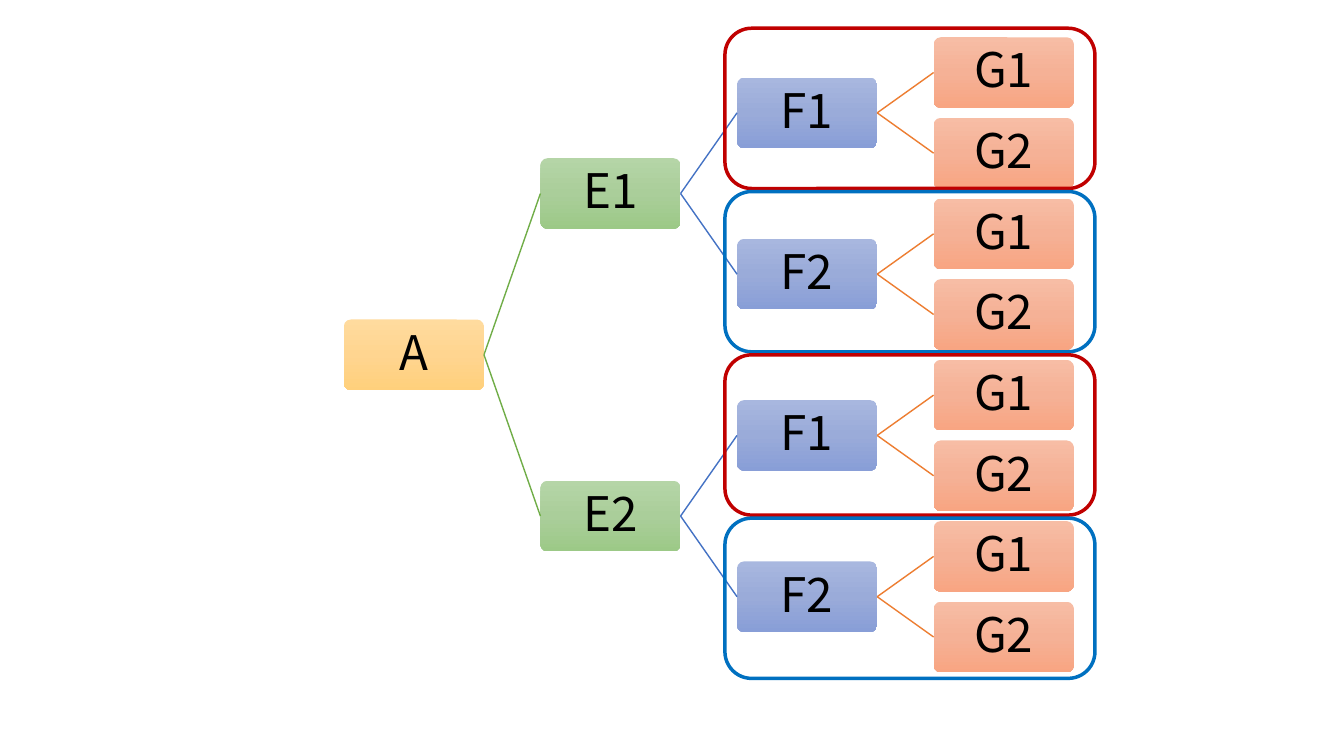
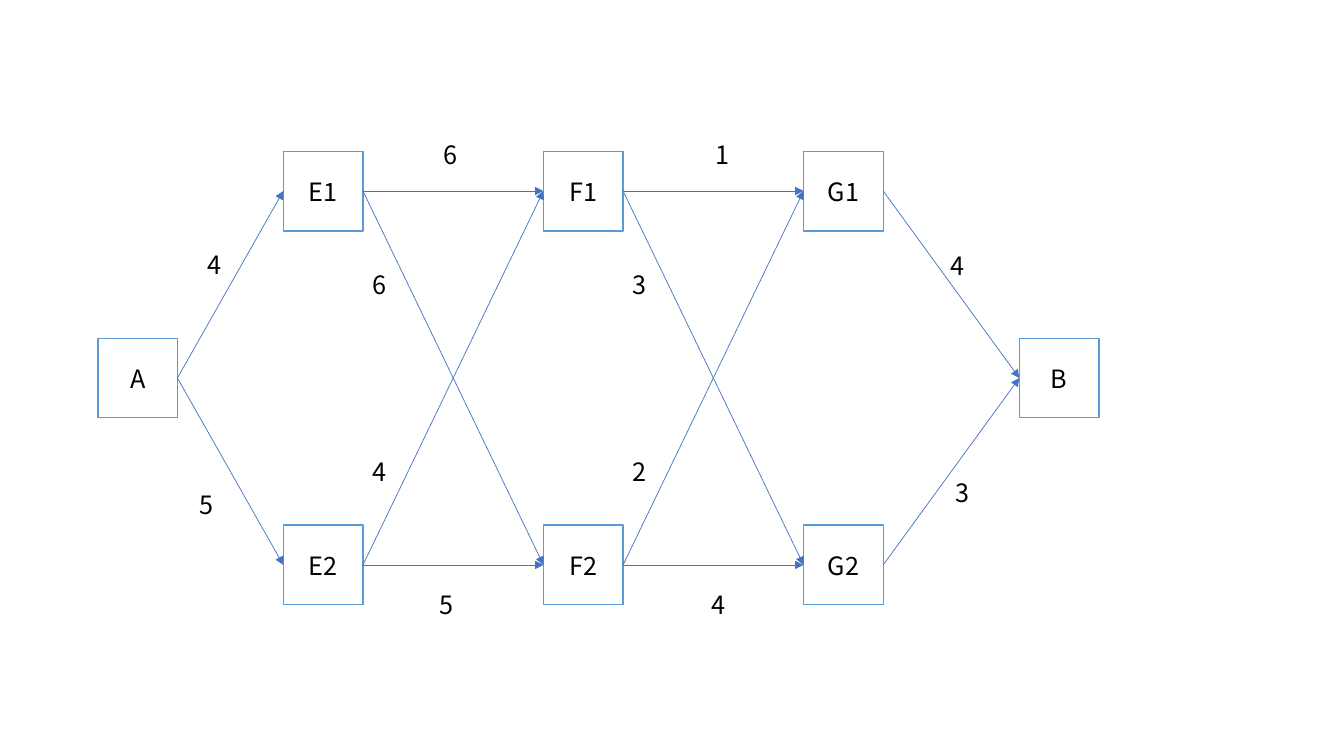
from copy import deepcopy
from dataclasses import dataclass

from pptx import Presentation
from pptx.dml import color
from pptx.enum import shapes, text
from pptx.oxml import ns
from pptx.util import Inches, Pt


@dataclass(frozen=True)
class Theme:
    font: str = "Noto Sans CJK SC"
    tree_size: int = 34
    graph_size: int = 18
    ink: str = "000000"
    paper: str = "FFFFFF"
    box_line: str = "5B9BD5"
    edge: str = "4472C4"
    frames: tuple = ("C00000", "0070C0")
    branches: tuple = ("70AD47", "4472C4", "ED7D31")
    levels: tuple = (
        ("FFDB9E", "FFD590", "FFD07C"),
        ("B5D5A7", "AACE9A", "9CC987"),
        ("A8B7DF", "9AABD9", "889ED7"),
        ("F7BDA5", "F5B196", "F8A582"),
    )


THEME = Theme()
LEFT_SITE, RIGHT_SITE = 1, 3

TREE_LEVELS = (("A",), ("E1", "E2"), ("F1", "F2"), ("G1", "G2"))
TREE_X, TREE_Y, TREE_STEP = 3.41, 3.17, 1.95
NODE_W, NODE_H = 1.39, 0.7
LEAF_STEP = 0.8

TOP, BOTTOM = 1.5, 5.21
MIDDLE = (TOP + BOTTOM) / 2
GRAPH_BOX, LABEL_BOX = 0.79, 0.4
GRAPH_NODES = {
    "A": (0.97, MIDDLE),
    "E1": (2.81, TOP), "E2": (2.81, BOTTOM),
    "F1": (5.39, TOP), "F2": (5.39, BOTTOM),
    "G1": (7.97, TOP), "G2": (7.97, BOTTOM),
    "B": (10.11, MIDDLE),
}
GRAPH_EDGES = (
    ("A", "E1", "4", 1.96, 2.42),
    ("A", "E2", "5", 1.88, 4.81),
    ("E1", "F1", "6", 4.3, 1.33),
    ("E1", "F2", "6", 3.6, 2.62),
    ("E2", "F1", "4", 3.6, 4.48),
    ("E2", "F2", "5", 4.26, 5.8),
    ("F1", "G1", "1", 7, 1.33),
    ("F1", "G2", "3", 6.18, 2.62),
    ("F2", "G1", "2", 6.18, 4.48),
    ("F2", "G2", "4", 6.96, 5.8),
    ("G1", "B", "4", 9.33, 2.43),
    ("G2", "B", "3", 9.38, 4.69),
)


def rgb(value):
    return color.RGBColor.from_string(value)


def write(tf, words, size, align=None):
    p = tf.paragraphs[0]
    p.alignment = align
    r = p.add_run()
    r.text = words
    r.font.name = THEME.font
    r.font.size = Pt(size)
    r.font.color.rgb = rgb(THEME.ink)
    return p


def add_box(s, kind, x, y, w, h, line=None, width=1):
    sp = s.shapes.add_shape(kind, Inches(x), Inches(y), Inches(w), Inches(h))
    sp.shadow.inherit = False
    sp.fill.background()
    if line:
        sp.line.color.rgb = rgb(line)
        sp.line.width = Pt(width)
    else:
        sp.line.fill.background()
    sp.text_frame.vertical_anchor = text.MSO_ANCHOR.MIDDLE
    return sp


def shade(sp, colors):
    sp.fill.gradient()
    sp.fill.gradient_angle = 270
    stops = sp._element.spPr.find(".//" + ns.qn("a:gsLst"))
    stops.insert(1, deepcopy(stops[0]))
    for stop, value, position in zip(sp.fill.gradient_stops, colors, (0, 0.5, 1)):
        stop.color.rgb = rgb(value)
        stop.position = position


def connect(s, start, end, line, width, arrow=False):
    c = s.shapes.add_connector(shapes.MSO_CONNECTOR.STRAIGHT, 0, 0, 0, 0)
    c.begin_connect(start, RIGHT_SITE)
    c.end_connect(end, LEFT_SITE)
    c.line.color.rgb = rgb(line)
    c.line.width = Pt(width)
    if arrow:
        ln = c.line._get_or_add_ln()
        ln.append(ln.makeelement(ns.qn("a:tailEnd"), {"type": "triangle"}))
    props = c._element.spPr
    props.append(props.makeelement(ns.qn("a:effectLst"), {}))


def add_tree_node(s, words, level, y):
    sp = add_box(s, shapes.MSO_SHAPE.ROUNDED_RECTANGLE,
                 TREE_X + level * TREE_STEP, y, NODE_W, NODE_H)
    sp.adjustments[0] = 0.1
    shade(sp, THEME.levels[level])
    tf = sp.text_frame
    tf.margin_left = tf.margin_right = Inches(0.02)
    tf.margin_top = tf.margin_bottom = Inches(0.02)
    p = write(tf, words, THEME.tree_size, text.PP_ALIGN.CENTER)
    p.line_spacing = 0.9
    return sp


def add_branch(s, words, level, y):
    node = add_tree_node(s, words, level, y)
    if level + 1 < len(TREE_LEVELS):
        offset = LEAF_STEP * 2 ** (1 - level)
        for child_words, side in zip(TREE_LEVELS[level + 1], (-1, 1)):
            child = add_branch(s, child_words, level + 1, y + side * offset)
            connect(s, node, child, THEME.branches[level], 1)
    return node


def add_label(s, words, x, y):
    sp = s.shapes.add_textbox(Inches(x), Inches(y), Inches(LABEL_BOX), Inches(LABEL_BOX))
    tf = sp.text_frame
    tf.word_wrap = True
    tf.auto_size = text.MSO_AUTO_SIZE.SHAPE_TO_FIT_TEXT
    write(tf, words, THEME.graph_size)


def add_graph_node(s, words, x, y):
    sp = add_box(s, shapes.MSO_SHAPE.RECTANGLE, x, y, GRAPH_BOX, GRAPH_BOX, THEME.box_line)
    sp.fill.solid()
    sp.fill.fore_color.rgb = rgb(THEME.paper)
    write(sp.text_frame, words, THEME.graph_size, text.PP_ALIGN.CENTER)
    return sp


def build_tree(s):
    add_branch(s, TREE_LEVELS[0][0], 0, TREE_Y)
    for i in range(4):
        add_box(s, shapes.MSO_SHAPE.ROUNDED_RECTANGLE, 7.19, 0.28 + i * 1.62, 3.67, 1.59,
                THEME.frames[i % 2], 2.5)


def build_graph(s):
    nodes = {name: add_graph_node(s, name, x, y) for name, (x, y) in GRAPH_NODES.items()}
    for start, end, cost, x, y in GRAPH_EDGES:
        connect(s, nodes[start], nodes[end], THEME.edge, 0.5, arrow=True)
        add_label(s, cost, x, y)


def main():
    prs = Presentation()
    prs.slide_width, prs.slide_height = Inches(13.33), Inches(7.5)
    for build in (build_tree, build_graph):
        build(prs.slides.add_slide(prs.slide_layouts[6]))
    prs.save("out.pptx")


main()
